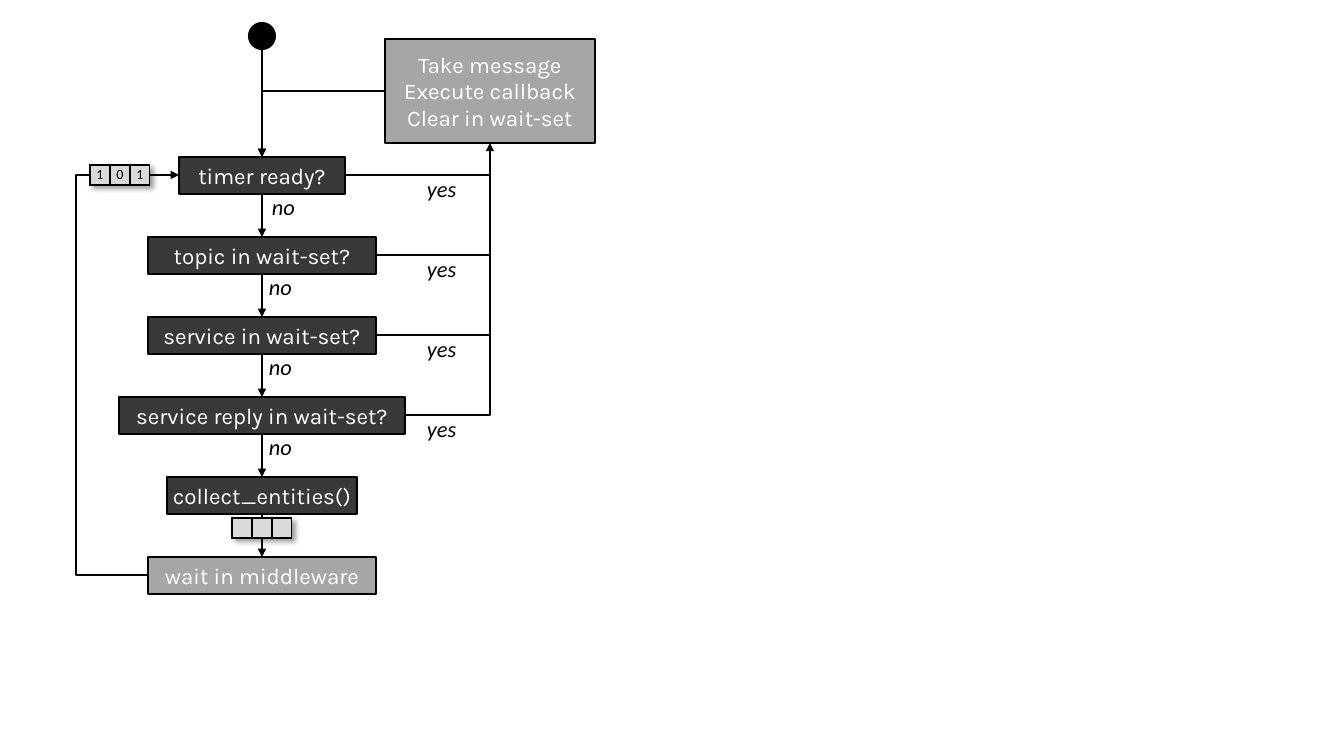
from lxml import etree
from pptx import Presentation
from pptx.dml.color import RGBColor
from pptx.enum.shapes import MSO_CONNECTOR, MSO_SHAPE
from pptx.enum.text import MSO_ANCHOR, PP_ALIGN
from pptx.oxml.ns import qn
from pptx.util import Emu, Pt

SCALE = 12192000 / 1344
RECTANGLE, OVAL = MSO_SHAPE.RECTANGLE, MSO_SHAPE.OVAL
STRAIGHT, ELBOW = MSO_CONNECTOR.STRAIGHT, MSO_CONNECTOR.ELBOW
MIDDLE, CENTER, LEFT = MSO_ANCHOR.MIDDLE, PP_ALIGN.CENTER, PP_ALIGN.LEFT
COLORS = {"check": "3B3838", "action": "A6A6A6", "cell": "D9D9D9",
          "line": "000000", "light": "FFFFFF"}
AXIS, FIRST_TOP, PITCH, STEP_HEIGHT = 262, 157, 80, 37
YES_X, CELL = 490, 20
STEPS = [
    ("timer ready?", 166, "check"),
    ("topic in wait-set?", 228, "check"),
    ("service in wait-set?", 228, "check"),
    ("service reply in wait-set?", 286, "check"),
    ("collect_entities()", 190, "check"),
    ("wait in middleware", 228, "action"),
]
QUESTIONS = 4


def px(length):
    """Turn pixels into EMU."""
    return Emu(round(length * SCALE))


def rgb(name):
    """Look up a named colour."""
    return RGBColor.from_string(COLORS[name])


def write(frame, text, font, size, color, align, italic=False):
    """Fill a text frame and format all of its runs."""
    frame.text = text
    for para in frame.paragraphs:
        para.alignment = align
        for span in para.runs:
            span.font.name, span.font.size = font, Pt(size)
            span.font.italic = italic
            span.font.color.rgb = rgb(color)


def clear_insets(frame):
    """Remove the inner margins and the wrapping of a text frame."""
    frame.margin_left = frame.margin_right = 0
    frame.margin_top = frame.margin_bottom = 0
    frame.word_wrap = False


def add_box(page, kind, left, top, width, height, fill, text=""):
    """Add a filled, outlined shape with centred text."""
    box = page.shapes.add_shape(kind, px(left), px(top), px(width), px(height))
    box.shadow.inherit = False
    box.fill.solid()
    box.fill.fore_color.rgb = rgb(fill)
    box.line.color.rgb = rgb("line")
    box.line.width = Pt(1.5)
    if text:
        clear_insets(box.text_frame)
        box.text_frame.vertical_anchor = MIDDLE
        write(box.text_frame, text, "Karla", 16, "light", CENTER)


def add_line(page, start, end, arrow=True, bend=None, adjust=None):
    """Add a straight line, or an elbow of the given preset."""
    kind = ELBOW if bend else STRAIGHT
    line = page.shapes.add_connector(kind, *map(px, start + end))
    line.line.color.rgb = rgb("line")
    line.line.width = Pt(1.5)
    properties = line._element.spPr
    if bend:
        geometry = properties.find(qn("a:prstGeom"))
        geometry.set("prst", bend)
        if adjust is not None:
            etree.SubElement(geometry.find(qn("a:avLst")), qn("a:gd"),
                             name="adj1", fmla=f"val {round(adjust * 100000)}")
    if arrow:
        etree.SubElement(properties.find(qn("a:ln")), qn("a:tailEnd"),
                         type="triangle")
    etree.SubElement(properties, qn("a:effectLst"))


def add_label(page, left, top, width, height, text):
    """Add an italic answer beside a line."""
    box = page.shapes.add_textbox(px(left), px(top), px(width), px(height))
    clear_insets(box.text_frame)
    write(box.text_frame, text, "Calibri", 16, "line", LEFT, italic=True)
    para = box.text_frame.paragraphs[0]
    para.line_spacing, para.space_before = Pt(23), Pt(5)


def add_wait_set(page, left, top, values):
    """Add a one-row table of wait-set flags with a soft shadow."""
    frame = page.shapes.add_table(1, len(values), px(left), px(top),
                                  px(CELL * len(values)), px(CELL))
    table = frame.table
    table.first_row = table.horz_banding = False
    effects = etree.Element(qn("a:effectLst"))
    shadow = etree.SubElement(effects, qn("a:outerShdw"), blurRad="50800",
                              dist="38100", dir="2700000", algn="tl")
    black = etree.SubElement(shadow, qn("a:srgbClr"), val=COLORS["line"])
    etree.SubElement(black, qn("a:alpha"), val="40000")
    table._tbl.tblPr.insert(0, effects)
    for cell, value in zip(table.rows[0].cells, values):
        cell.margin_left = cell.margin_right = 0
        cell.margin_top = cell.margin_bottom = 0
        cell.vertical_anchor = MIDDLE
        write(cell.text_frame, value, "Calibri", 10, "line", CENTER)
        etree.SubElement(cell.text_frame.paragraphs[0]._p,
                         qn("a:endParaRPr"), sz="1000")
        cell.fill.solid()
        cell.fill.fore_color.rgb = rgb("cell")
        borders = cell._tc.get_or_add_tcPr()
        for index, side in enumerate(("lnL", "lnR", "lnT", "lnB")):
            border = etree.Element(qn(f"a:{side}"), w=str(Pt(1)))
            paint = etree.SubElement(border, qn("a:solidFill"))
            etree.SubElement(paint, qn("a:srgbClr"), val=COLORS["line"])
            borders.insert(index, border)


def add_steps(page):
    """Add the column of steps with its yes and no branches."""
    for index, (text, width, fill) in enumerate(STEPS):
        top = FIRST_TOP + index * PITCH
        bottom, middle = top + STEP_HEIGHT, top + STEP_HEIGHT // 2
        right = AXIS + width // 2
        add_box(page, RECTANGLE, AXIS - width // 2, top, width, STEP_HEIGHT,
                fill, text)
        if index < len(STEPS) - 1:
            add_line(page, (AXIS, bottom), (AXIS, top + PITCH))
        if index < QUESTIONS:
            add_label(page, 427, top + 13, 37, 27, "yes")
            add_label(page, 269 if index else 272, top + 31, 26, 17, "no")
        if index < QUESTIONS - 1:
            add_line(page, (right, middle), (YES_X, middle), arrow=False)
        elif index == QUESTIONS - 1:
            add_line(page, (right, middle), (YES_X, 143),
                     bend="bentConnector2")


def main():
    """Build the executor loop flow chart."""
    deck = Presentation()
    deck.slide_width, deck.slide_height = px(1344), px(756)
    page = deck.slides.add_slide(deck.slide_layouts[6])
    add_box(page, RECTANGLE, 385, 39, 210, 104, "action",
            "Take message\nExecute callback\nClear in wait-set")
    add_steps(page)
    add_box(page, OVAL, AXIS - 13, 23, 26, 26, "line")
    add_line(page, (AXIS, 50), (AXIS, FIRST_TOP))
    add_line(page, (385, 91), (AXIS, FIRST_TOP), bend="bentConnector2")
    add_line(page, (148, 575), (179, 175), bend="bentConnector3",
             adjust=(76 - 148) / (179 - 148))
    add_wait_set(page, 90, 165, ["1", "0", "1"])
    add_wait_set(page, 232, 518, ["", "", ""])
    deck.save("out.pptx")


main()
